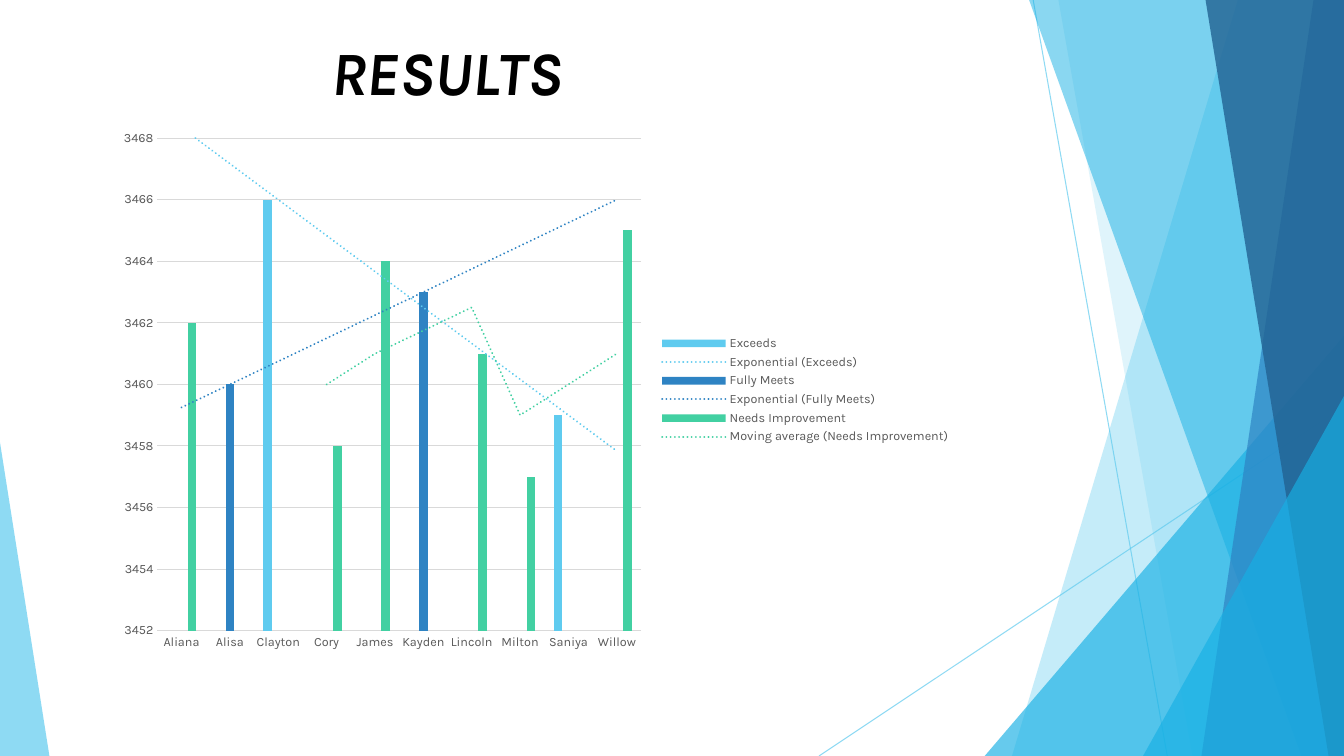
from dataclasses import dataclass

from lxml.etree import SubElement
from pptx import Presentation
from pptx.chart.data import CategoryChartData
from pptx.dml.color import RGBColor
from pptx.enum.chart import XL_CHART_TYPE, XL_LEGEND_POSITION, XL_TICK_MARK
from pptx.enum.shapes import MSO_CONNECTOR, MSO_SHAPE
from pptx.enum.text import MSO_ANCHOR, MSO_AUTO_SIZE, PP_ALIGN
from pptx.oxml import parse_xml
from pptx.oxml.ns import nsdecls, qn
from pptx.util import Pt


@dataclass(frozen=True)
class Theme:
    font: str = "Karla"
    sky: str = "5FCBEF"
    cyan: str = "17B0E4"
    blue: str = "2E83C3"
    navy: str = "226292"
    green: str = "42D0A2"
    black: str = "000000"
    text: str = "595959"
    grid: str = "D9D9D9"
    title_size: int = 44
    label_size: int = 9
    hairline: float = 0.75
    trend_line: float = 1.5


THEME = Theme()
NAMES = ["Aliana", "Alisa", "Clayton", "Cory", "James",
         "Kayden", "Lincoln", "Milton", "Saniya", "Willow"]
SERIES = [
    ("Exceeds", THEME.sky, "exp", {"Clayton": 3466, "Saniya": 3459}),
    ("Fully Meets", THEME.blue, "exp", {"Alisa": 3460, "Kayden": 3463}),
    ("Needs Improvement", THEME.green, "movingAvg",
     {"Aliana": 3462, "Cory": 3458, "James": 3464,
      "Lincoln": 3461, "Milton": 3457, "Willow": 3465}),
]


def set_color(fmt, color, opacity=100):
    fmt.solid()
    fmt.fore_color.rgb = RGBColor.from_string(color)
    if opacity < 100:
        clr = fmt._xPr.find(qn("a:solidFill"))[0]
        SubElement(clr, qn("a:alpha")).set("val", str(opacity * 1000))


def paint(s, color, opacity):
    s.shadow.inherit = False
    set_color(s.fill, color, opacity)
    s.line.fill.background()


def add_ray(slide, start, end):
    s = slide.shapes.add_connector(
        MSO_CONNECTOR.STRAIGHT, *(Pt(v) for v in start + end))
    set_color(s.line.fill, THEME.sky, 70)
    s.line.width = Pt(THEME.hairline)
    SubElement(s._element.spPr, qn("a:effectLst"))


def add_triangle(slide, x, y, w, h, apex, color, opacity):
    s = slide.shapes.add_shape(
        MSO_SHAPE.ISOSCELES_TRIANGLE, Pt(x), Pt(y), Pt(w), Pt(h))
    s.adjustments[0] = apex
    paint(s, color, opacity)


def add_facets(slide, x, y, w, h):
    right, bottom = x + w, y + h

    def band(top_x, bottom_x, color, opacity):
        corners = [(x + top_x, y), (right, y), (right, bottom), (x + bottom_x, bottom)]
        points = [(Pt(px), Pt(py)) for px, py in corners]
        builder = slide.shapes.build_freeform(*points[0])
        builder.add_line_segments(points[1:], close=True)
        paint(builder.convert_to_shape(), color, opacity)

    def corner(width, height):
        add_triangle(slide, right - width, bottom - height, width, height,
                     1, THEME.cyan, 66)

    add_ray(slide, (x + 153, y), (x + 248.8, bottom))
    add_ray(slide, (right, y + 290.2), (x, bottom))
    band(299.2, 137.9, THEME.sky, 36)
    band(171, 266.8, THEME.sky, 20)
    corner(256.6, 300.2)
    band(150.1, 344.5, THEME.cyan, 50)
    band(353.2, 273.2, THEME.blue, 70)
    band(276.1, 364, THEME.navy, 80)
    corner(143.5, 257)


def add_title(slide, x, y, w, h):
    s = slide.shapes.title
    s.left, s.top, s.width, s.height = Pt(x), Pt(y), Pt(w), Pt(h)
    tf = s.text_frame
    tf.text = "RESULTS"
    tf.auto_size = MSO_AUTO_SIZE.NONE
    tf.vertical_anchor = MSO_ANCHOR.MIDDLE
    p = tf.paragraphs[0]
    p.alignment = PP_ALIGN.CENTER
    style_font(p.font, THEME.title_size, THEME.black)
    p.font.bold = p.font.italic = True


def style_font(font, size, color):
    font.name = THEME.font
    font.size = Pt(size)
    font.color.rgb = RGBColor.from_string(color)


def style_line(line, color):
    set_color(line.fill, color)
    line.width = Pt(THEME.hairline)


def add_trend(ser, kind, color):
    period = '<c:period val="2"/>' if kind == "movingAvg" else ""
    trend = parse_xml(
        f'<c:trendline {nsdecls("c", "a")}>'
        f'<c:spPr><a:ln w="{Pt(THEME.trend_line)}" cap="rnd">'
        f'<a:solidFill><a:srgbClr val="{color}"/></a:solidFill>'
        f'<a:prstDash val="sysDot"/></a:ln></c:spPr>'
        f'<c:trendlineType val="{kind}"/>{period}'
        f'<c:dispRSqr val="0"/><c:dispEq val="0"/></c:trendline>')
    ser._element.find(qn("c:cat")).addprevious(trend)


def add_results_chart(slide, x, y, w, h):
    data = CategoryChartData()
    data.categories = NAMES
    for name, _, _, scores in SERIES:
        data.add_series(name, [scores.get(n) for n in NAMES])
    chart = slide.shapes.add_chart(
        XL_CHART_TYPE.COLUMN_CLUSTERED, Pt(x), Pt(y), Pt(w), Pt(h), data).chart
    style_font(chart.font, THEME.label_size, THEME.text)
    chart.has_title = False
    chart.has_legend = True
    chart.legend.position = XL_LEGEND_POSITION.RIGHT
    chart.legend.include_in_layout = False

    plot = chart.plots[0]
    plot.gap_width, plot.overlap, plot.vary_by_categories = 219, -27, False
    for ser, (_, color, kind, _) in zip(plot.series, SERIES):
        set_color(ser.format.fill, color)
        add_trend(ser, kind, color)

    for axis in (chart.category_axis, chart.value_axis):
        axis.major_tick_mark = axis.minor_tick_mark = XL_TICK_MARK.NONE
    style_line(chart.category_axis.format.line, THEME.grid)
    axis = chart.value_axis
    axis.minimum_scale, axis.maximum_scale, axis.major_unit = 3452, 3468, 2
    axis.format.line.fill.background()
    style_line(axis.major_gridlines.format.line, THEME.grid)


def add_results_slide(prs):
    slide = prs.slides.add_slide(prs.slide_layouts[5])
    add_facets(slide, 585, 0, 375, 540)
    add_triangle(slide, 0, 316.1, 35.3, 223.9, 0, THEME.sky, 70)
    add_title(slide, 46, 20.2, 546.5, 60.5)
    add_results_chart(slide, 76.3, 85.7, 609.8, 385.9)


def main():
    prs = Presentation()
    prs.slide_width, prs.slide_height = Pt(960), Pt(540)
    add_results_slide(prs)
    prs.save("out.pptx")


if __name__ == "__main__":
    main()
